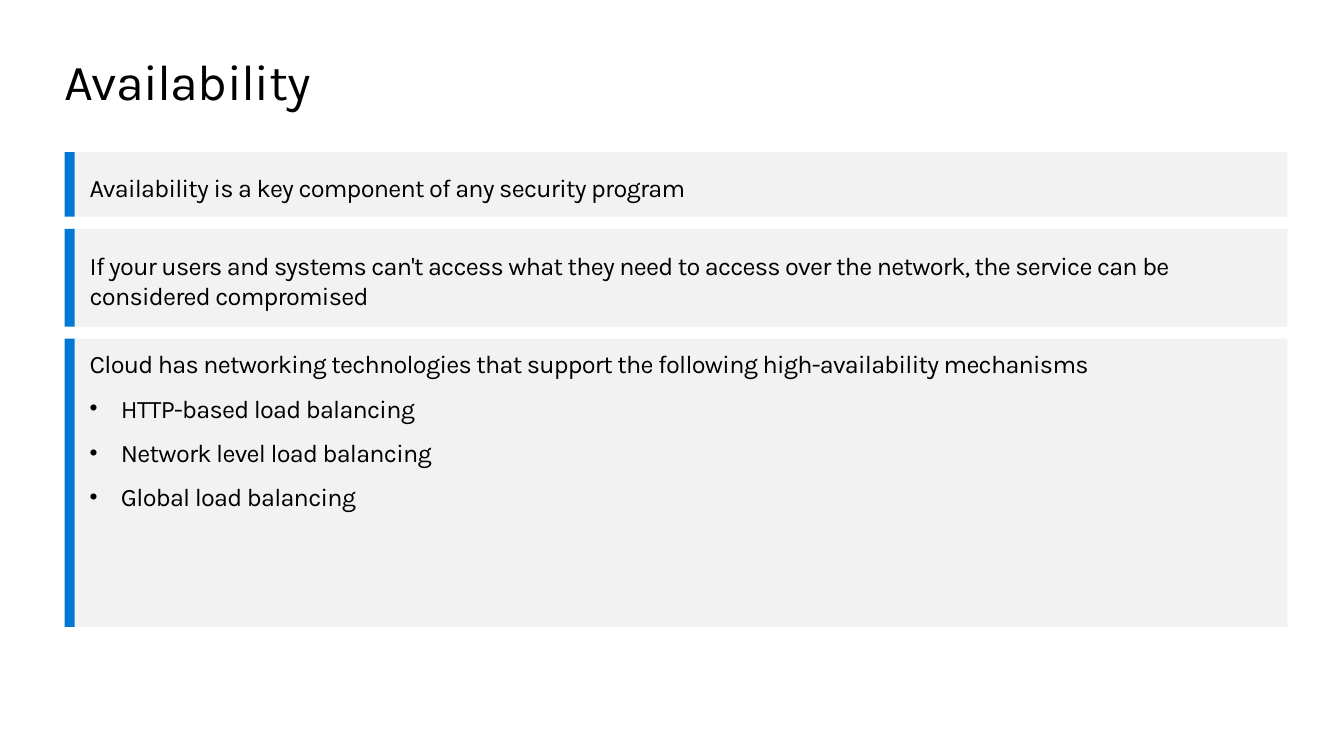
from pptx import Presentation
from pptx.dml.color import RGBColor
from pptx.enum.shapes import MSO_SHAPE
from pptx.enum.text import MSO_ANCHOR, PP_ALIGN
from pptx.oxml.ns import qn
from pptx.util import Inches, Pt
from lxml.etree import SubElement

COLORS = {"text": "000000", "panel": "F2F2F2", "accent": "0078D4"}
LEFT, WIDTH, BAR, GAP = 0.64, 12.13, 0.1, 0.12

CARDS = [
    (0.64, "Availability is a key component of any security program", []),
    (0.97, "If your users and systems can't access what they need to access "
           "over the network, the service can be considered compromised", []),
    (2.86, "Cloud has networking technologies that support the following "
           "high-availability mechanisms",
     ["HTTP-based load balancing",
      "Network level load balancing",
      "Global load balancing"]),
]


class Deck:
    font = "Karla"

    def __init__(self):
        self.prs = Presentation()
        self.prs.slide_width = Inches(13.33)
        self.prs.slide_height = Inches(7.5)
        self.slide = self.prs.slides.add_slide(self.prs.slide_layouts[6])

    def frame(self, shape, insets, anchor):
        """Set wrapping, insets and anchor, and return the text frame."""
        frame = shape.text_frame
        frame.word_wrap = True
        frame.vertical_anchor = anchor
        (frame.margin_left, frame.margin_top,
         frame.margin_right, frame.margin_bottom) = map(Inches, insets)
        return frame

    def run(self, para, text, size):
        para.alignment = PP_ALIGN.LEFT
        run = para.add_run()
        run.text = text
        font = run.font
        font.name, font.size = self.font, Pt(size)
        font.color.rgb = RGBColor.from_string(COLORS["text"])
        font._element.set("spc", "-50")

    def bullet(self, para):
        props = para._p.get_or_add_pPr()
        props.set("marL", str(Inches(0.31)))
        props.set("indent", str(-Inches(0.31)))
        SubElement(props, qn("a:buSzPct")).set("val", "90000")
        SubElement(props, qn("a:buFont")).set("typeface", "Arial")
        SubElement(props, qn("a:buChar")).set("char", "•")

    def title(self, text):
        box = self.slide.shapes.add_textbox(
            Inches(LEFT), Inches(0.5), Inches(10.77), Inches(0.61))
        frame = self.frame(box, (0, 0, 0, 0), MSO_ANCHOR.TOP)
        self.run(frame.paragraphs[0], text, 36)

    def rect(self, group, left, top, width, height, color):
        shape = group.shapes.add_shape(
            MSO_SHAPE.RECTANGLE, *map(Inches, (left, top, width, height)))
        shape.shadow.inherit = False
        shape.fill.solid()
        shape.fill.fore_color.rgb = RGBColor.from_string(COLORS[color])
        shape.line.fill.background()
        return shape

    def card(self, top, height, text, points):
        """Draw a grey panel with an accent bar, a lead line and bullets."""
        group = self.slide.shapes.add_group_shape()
        panel = self.rect(group, LEFT + BAR, top, WIDTH - BAR, height, "panel")
        self.rect(group, LEFT, top, BAR, height, "accent")
        anchor = MSO_ANCHOR.TOP if points else MSO_ANCHOR.MIDDLE
        frame = self.frame(panel, (0.15, 0.1, 0.15, 0.05), anchor)
        lead = frame.paragraphs[0]
        lead.space_after = Pt(4)
        self.run(lead, text, 18)
        for point in points:
            para = frame.add_paragraph()
            self.bullet(para)
            para.space_before, para.space_after = Pt(6), Pt(4)
            self.run(para, point, 18)


def main():
    deck = Deck()
    deck.title("Availability")
    top = 1.51
    for height, text, points in CARDS:
        deck.card(top, height, text, points)
        top += height + GAP
    deck.prs.save("out.pptx")


if __name__ == "__main__":
    main()
